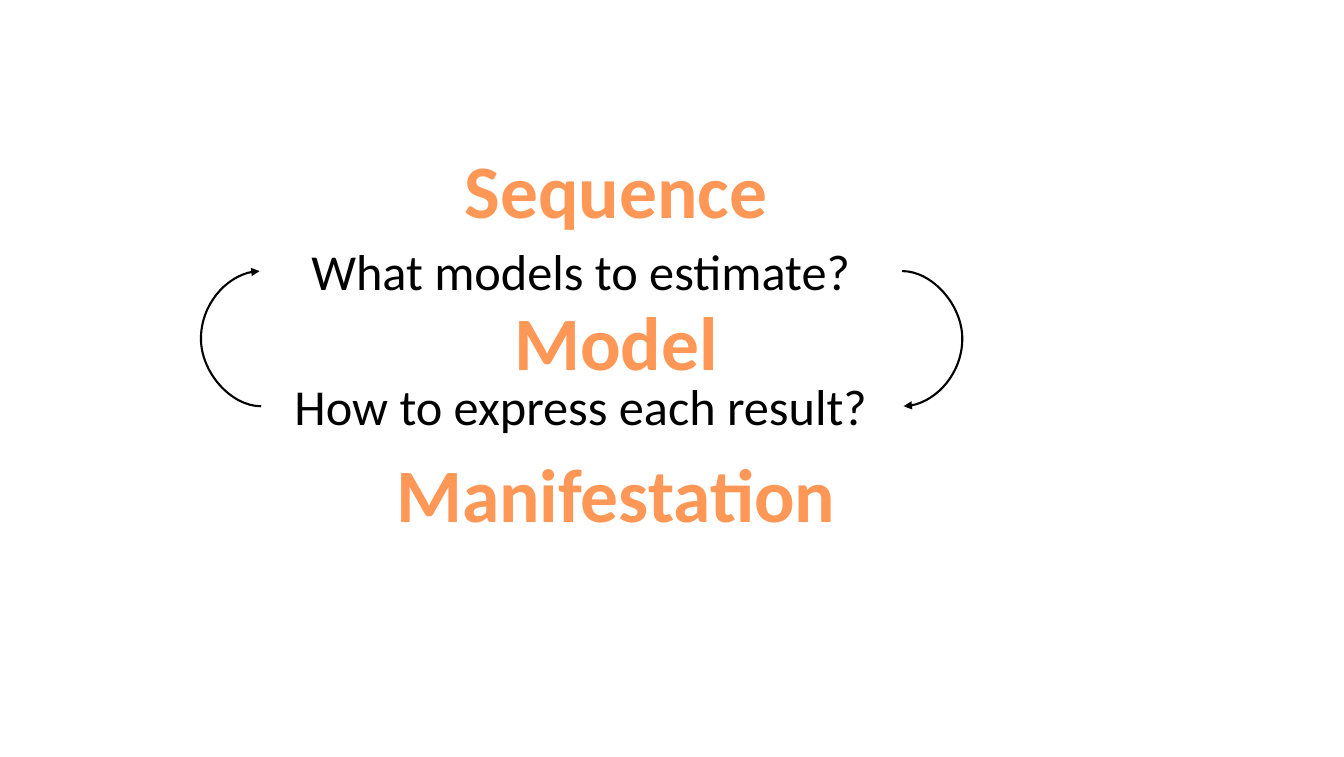
from dataclasses import dataclass

from lxml.etree import SubElement
from pptx import Presentation
from pptx.dml.color import RGBColor
from pptx.enum.shapes import MSO_CONNECTOR
from pptx.enum.text import MSO_AUTO_SIZE as AutoSize
from pptx.enum.text import PP_ALIGN as Align
from pptx.oxml.ns import qn
from pptx.slide import Slide
from pptx.util import Cm, Pt

BLACK = "000000"
ORANGE = "FF9856"

HEADING_FORMAT = {"name": "Calibri", "size": Pt(54), "bold": True}
QUESTION_FORMAT = {"name": "Calibri", "size": Pt(36)}

HEADING_CENTER = 15.54
HEADING_TOP = 3.48
HEADING_STEP = 3.84
HEADING_HEIGHT = 2.57

QUESTION_LEFT = 6.55
QUESTION_WIDTH = 16.21
QUESTION_TOP = 5.94
QUESTION_STEP = 3.41
QUESTION_HEIGHT = 1.8

ARROW_WIDTH = 0.04
ARROW_BULGE = 1.52


@dataclass(frozen=True)
class Label:
    text: str
    left: float
    top: float
    width: float
    height: float
    color: str
    font_format: dict
    wrap: bool


@dataclass(frozen=True)
class LoopArrow:
    left: float
    rotation: float


def rgb(color: str) -> RGBColor:
    return RGBColor.from_string(color)


def add_label(slide: Slide, label: Label) -> None:
    box = slide.shapes.add_textbox(
        Cm(label.left), Cm(label.top), Cm(label.width), Cm(label.height)
    )
    frame = box.text_frame
    frame.word_wrap = label.wrap
    frame.auto_size = AutoSize.SHAPE_TO_FIT_TEXT
    paragraph = frame.paragraphs[0]
    paragraph.alignment = Align.CENTER
    run = paragraph.add_run()
    run.text = label.text
    for attribute, value in label.font_format.items():
        setattr(run.font, attribute, value)
    run.font.color.rgb = rgb(label.color)


def add_loop_arrow(slide: Slide, arrow: LoopArrow) -> None:
    top = QUESTION_TOP + QUESTION_HEIGHT / 2
    connector = slide.shapes.add_connector(
        MSO_CONNECTOR.CURVE,
        Cm(arrow.left),
        Cm(top),
        Cm(arrow.left + ARROW_WIDTH),
        Cm(top + QUESTION_STEP),
    )
    connector.rotation = arrow.rotation
    connector.line.width = Pt(1.5)
    connector.line.color.rgb = rgb(BLACK)
    properties = connector._element.spPr
    adjustments = properties.find(qn("a:prstGeom")).find(qn("a:avLst"))
    bulge = round(ARROW_BULGE / ARROW_WIDTH * 100000)
    SubElement(adjustments, qn("a:gd"), name="adj1", fmla=f"val {bulge}")
    SubElement(properties.find(qn("a:ln")), qn("a:tailEnd"), type="triangle")
    SubElement(properties, qn("a:effectLst"))


def main() -> None:
    presentation = Presentation()
    presentation.slide_width = Cm(33.91)
    presentation.slide_height = Cm(19.1)
    slide = presentation.slides.add_slide(presentation.slide_layouts[6])

    questions = ["What models to estimate?", "How to express each result?"]
    for index, text in enumerate(questions):
        top = QUESTION_TOP + index * QUESTION_STEP
        add_label(slide, Label(
            text, QUESTION_LEFT, top, QUESTION_WIDTH, QUESTION_HEIGHT,
            BLACK, QUESTION_FORMAT, True,
        ))

    headings = [("Sequence", 8.23), ("Model", 5.69), ("Manifestation", 11.73)]
    for index, (text, width) in enumerate(headings):
        left = HEADING_CENTER - width / 2
        top = HEADING_TOP + index * HEADING_STEP
        add_label(slide, Label(
            text, left, top, width, HEADING_HEIGHT,
            ORANGE, HEADING_FORMAT, False,
        ))

    arrows = [
        LoopArrow(QUESTION_LEFT + QUESTION_WIDTH, 0),
        LoopArrow(QUESTION_LEFT, 180),
    ]
    for arrow in arrows:
        add_loop_arrow(slide, arrow)

    presentation.save("out.pptx")


if __name__ == "__main__":
    main()
